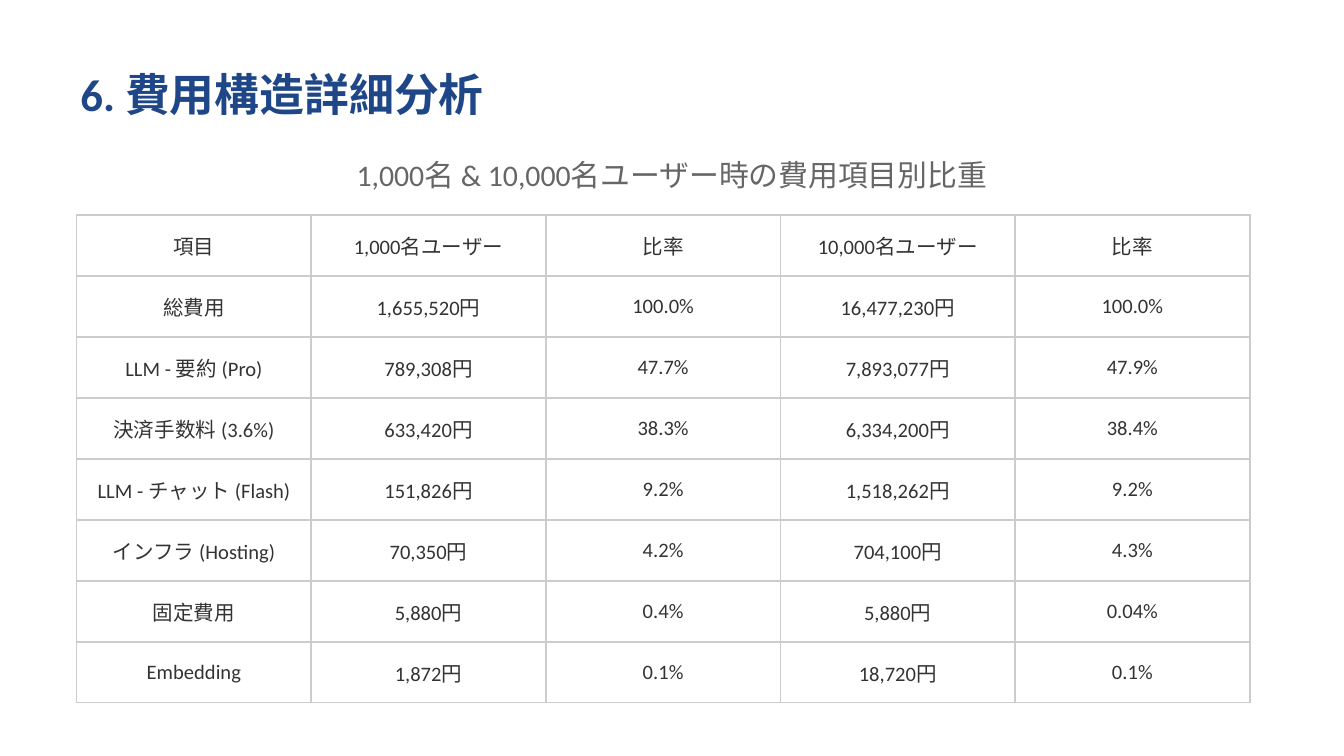
"""Builds a slide with a table of cost items and their shares at two user counts."""
from lxml import etree
from pptx import Presentation
from pptx.dml.color import RGBColor
from pptx.enum.text import MSO_ANCHOR, PP_ALIGN
from pptx.oxml.ns import qn
from pptx.util import Inches, Pt

NAVY = RGBColor(0x1F, 0x47, 0x88)
GRAY = RGBColor(0x66, 0x66, 0x66)
DARK = RGBColor(0x33, 0x33, 0x33)
BORDER = RGBColor(0xCC, 0xCC, 0xCC)
WHITE = RGBColor(0xFF, 0xFF, 0xFF)
LEFT, CENTER = PP_ALIGN.LEFT, PP_ALIGN.CENTER
MIDDLE = MSO_ANCHOR.MIDDLE
FONT = "Calibri"

HEADINGS = [
    ("6. 費用構造詳細分析", 0.4, 0.6, 24, NAVY, True, LEFT),
    ("1,000名 & 10,000名ユーザー時の費用項目別比重", 1.1, 0.4, 16, GRAY, False, CENTER),
]
COST_ROWS = [
    ("項目", "1,000名ユーザー", "比率", "10,000名ユーザー", "比率"),
    ("総費用", "1,655,520円", "100.0%", "16,477,230円", "100.0%"),
    ("LLM - 要約 (Pro)", "789,308円", "47.7%", "7,893,077円", "47.9%"),
    ("決済手数料 (3.6%)", "633,420円", "38.3%", "6,334,200円", "38.4%"),
    ("LLM - チャット (Flash)", "151,826円", "9.2%", "1,518,262円", "9.2%"),
    ("インフラ (Hosting)", "70,350円", "4.2%", "704,100円", "4.3%"),
    ("固定費用", "5,880円", "0.4%", "5,880円", "0.04%"),
    ("Embedding", "1,872円", "0.1%", "18,720円", "0.1%"),
]


def write_text(text_frame, text, size, color, bold, alignment):
    text_frame.text = text
    paragraph = text_frame.paragraphs[0]
    paragraph.alignment = alignment
    font = paragraph.runs[0].font
    font.name = FONT
    font.size = Pt(size)
    font.bold = bold
    font.color.rgb = color


def add_borders(cell):
    properties = cell._tc.get_or_add_tcPr()
    for position, side in enumerate(("a:lnL", "a:lnR", "a:lnT", "a:lnB")):
        line = etree.Element(qn(side), w=str(Pt(1)))
        fill = etree.SubElement(line, qn("a:solidFill"))
        etree.SubElement(fill, qn("a:srgbClr"), val=str(BORDER))
        properties.insert(position, line)


presentation = Presentation()
presentation.slide_width = Inches(10)
presentation.slide_height = Inches(10 * 9 / 16)
slide = presentation.slides.add_slide(presentation.slide_layouts[6])
slide.background.fill.solid()
slide.background.fill.fore_color.rgb = WHITE

for text, top, height, size, color, bold, alignment in HEADINGS:
    box = slide.shapes.add_textbox(Inches(0.5), Inches(top), Inches(9), Inches(height))
    box.text_frame.word_wrap = True
    box.text_frame.vertical_anchor = MIDDLE
    write_text(box.text_frame, text, size, color, bold, alignment)

table = slide.shapes.add_table(
    len(COST_ROWS), len(COST_ROWS[0]),
    Inches(0.57), Inches(1.6), Inches(8.73), Inches(3.63),
).table
table.first_row = False
table.horz_banding = False

for row_index, values in enumerate(COST_ROWS):
    for column_index, value in enumerate(values):
        cell = table.cell(row_index, column_index)
        cell.vertical_anchor = MIDDLE
        cell.fill.solid()
        cell.fill.fore_color.rgb = WHITE
        write_text(cell.text_frame, value, 11, DARK, False, CENTER)
        add_borders(cell)

presentation.save("out.pptx")
